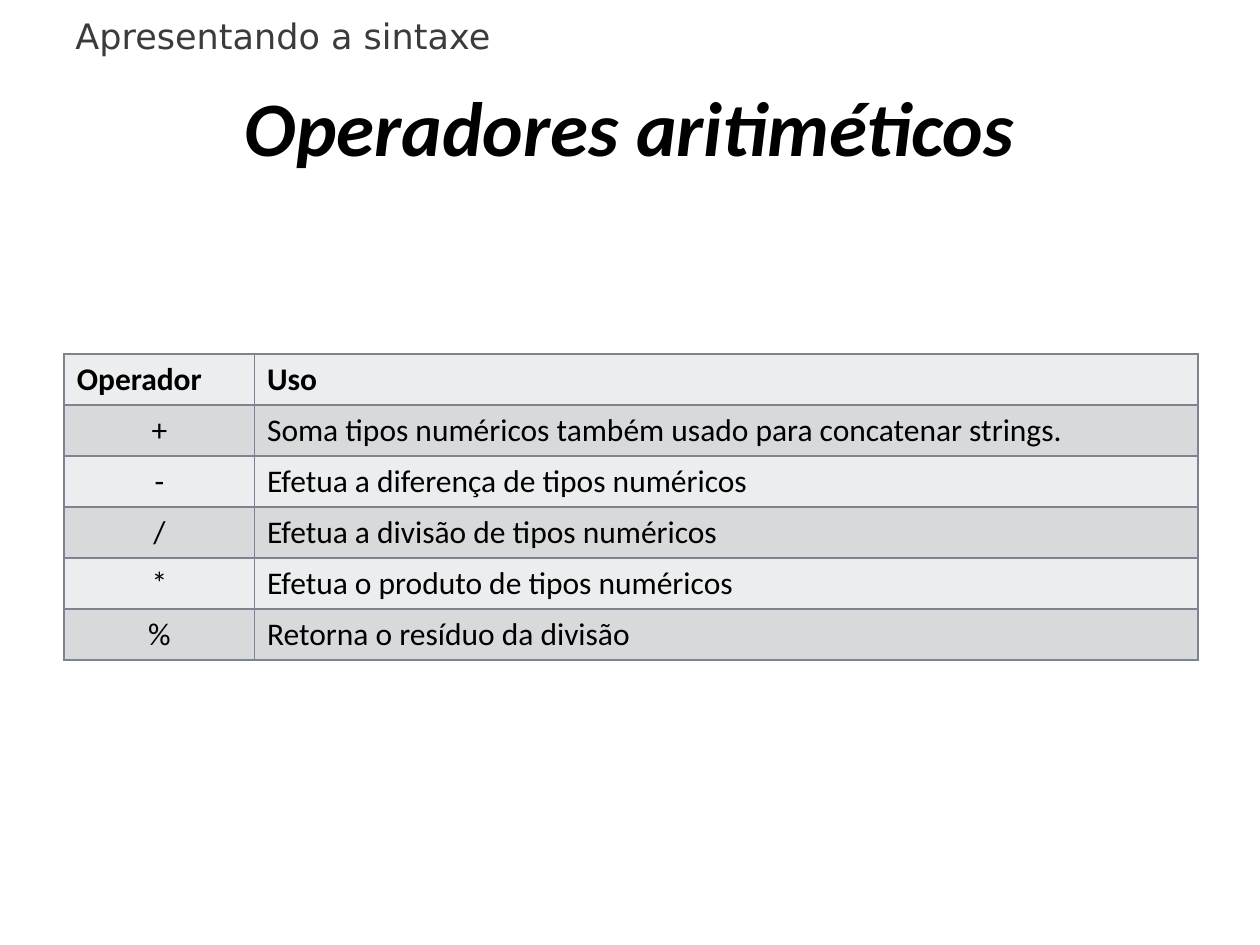
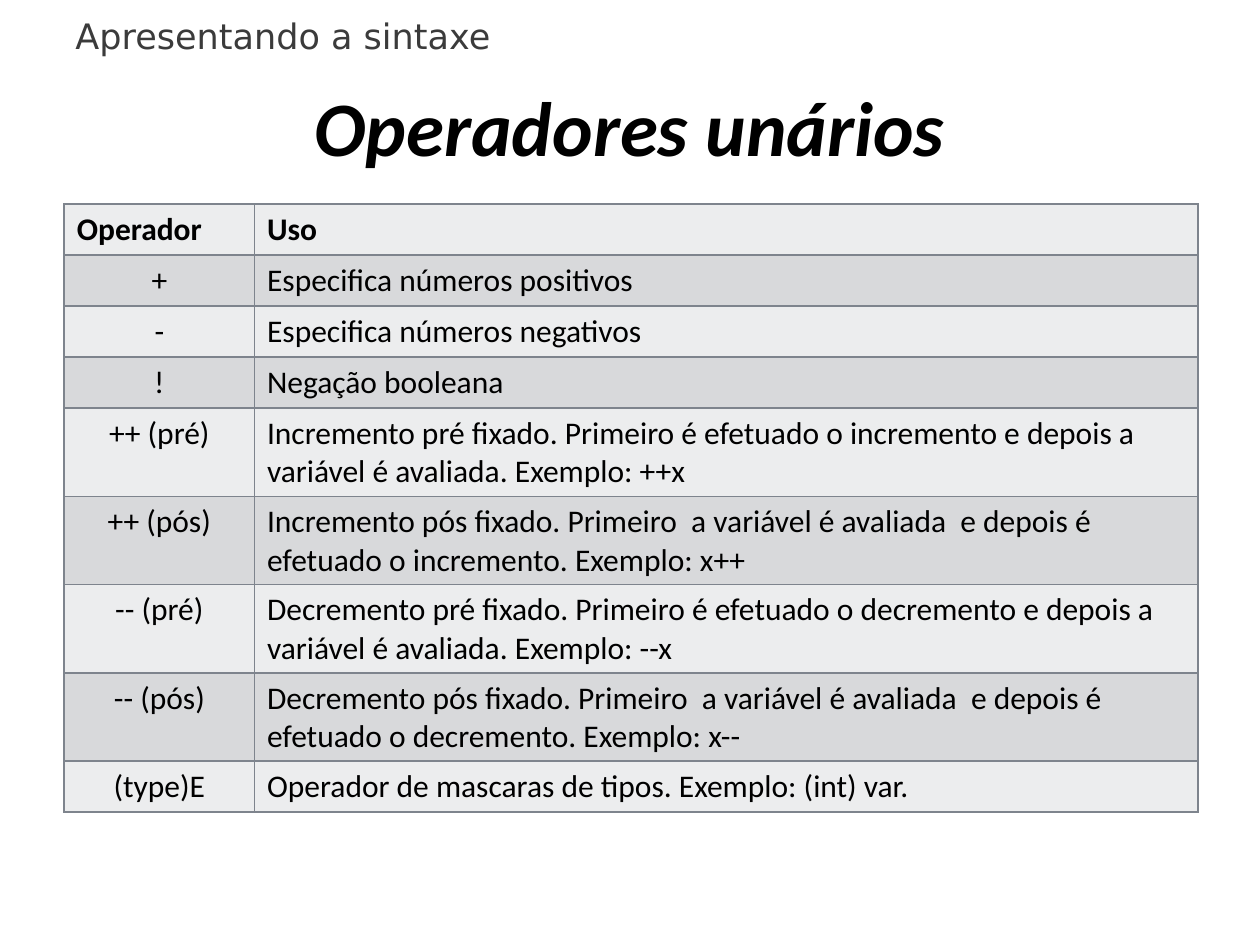
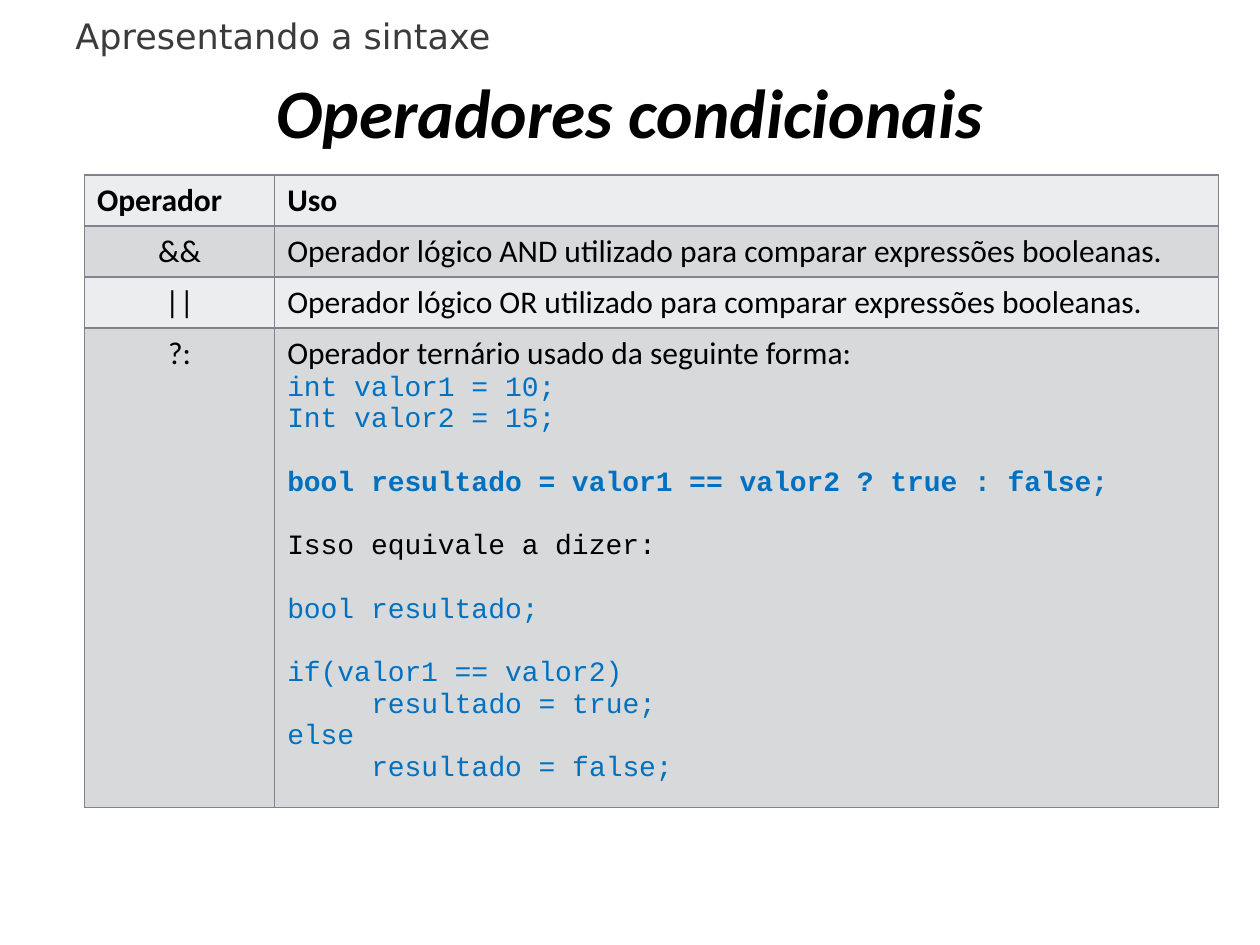
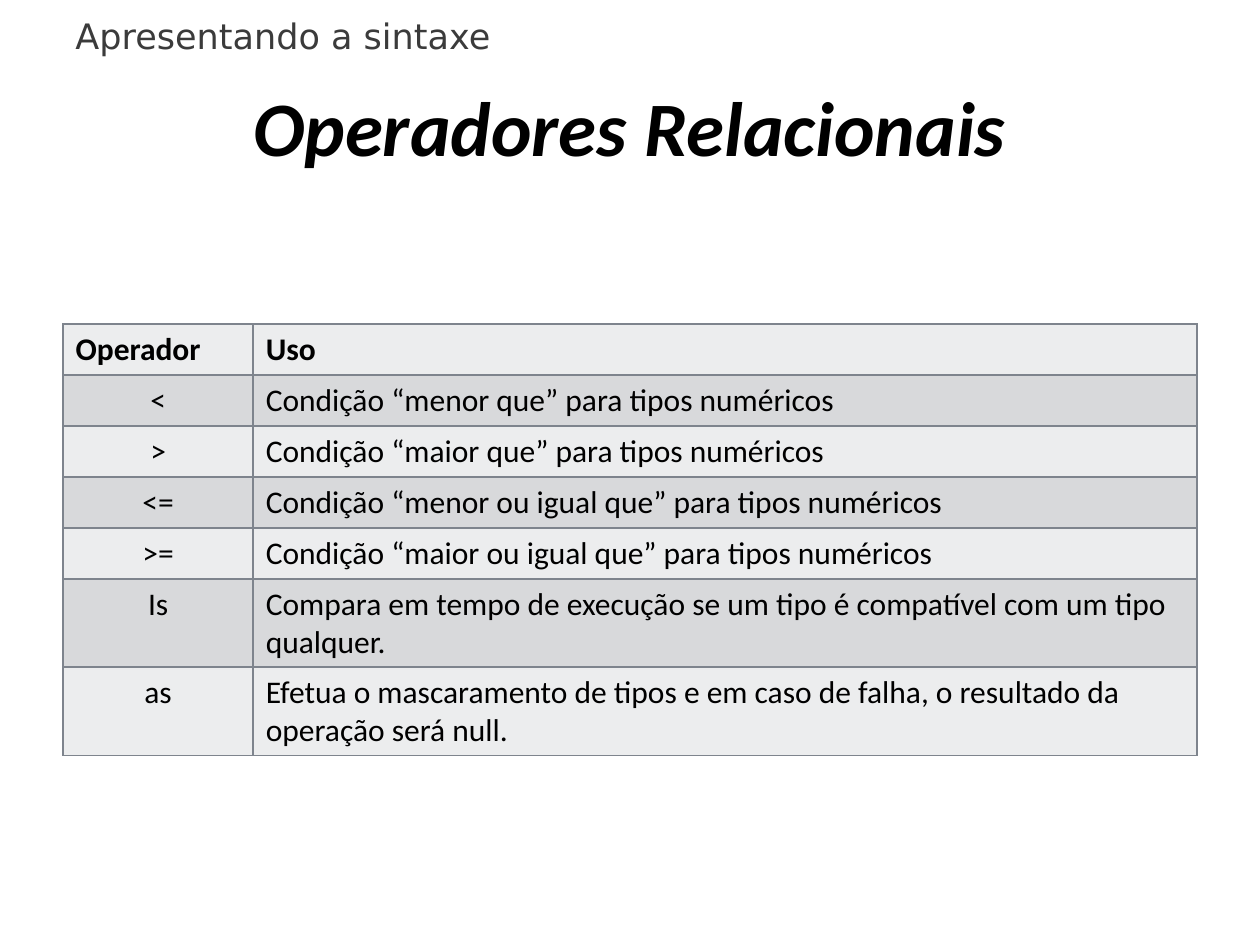
from dataclasses import dataclass

from lxml.etree import SubElement
from pptx import Presentation
from pptx.dml.color import RGBColor
from pptx.enum.text import MSO_ANCHOR, MSO_AUTO_SIZE, PP_ALIGN
from pptx.oxml.ns import qn
from pptx.util import Emu, Inches, Pt

# Shared look
COLORS = {
    "header": "3B3B3B",
    "text": "000000",
    "code": "0070C0",
    "border": "7E848D",
    "light_row": "ECEDEE",
    "dark_row": "D8D9DB",
}
BODY_FONT, CODE_FONT, HEADER_FONT = "Calibri", "Courier New", "DejaVu Sans"
HEADER = "Apresentando a sintaxe"
TABLE_HEADINGS = ("Operador", "Uso")

# Grid of 100 columns by 75 rows
SLIDE_WIDTH, SLIDE_HEIGHT = Inches(10), Inches(7.5)
COLUMN, ROW = SLIDE_WIDTH / 100, SLIDE_HEIGHT / 75
TABLE_COLUMNS = (15.1, 74.9)
TABLE_ROW = 4.05
CODE_LINE = Pt(18.1)
CODE_INDENT = Pt(48)


@dataclass(frozen=True)
class Box:
    left: float
    top: float
    width: float
    height: float

    def lengths(self) -> tuple:
        return (Emu(round(self.left * COLUMN)), Emu(round(self.top * ROW)),
                Emu(round(self.width * COLUMN)), Emu(round(self.height * ROW)))


@dataclass(frozen=True)
class Style:
    font: str = BODY_FONT
    size: float = 18
    color: str = "text"
    bold: bool = False
    italic: bool = False


@dataclass(frozen=True)
class Line:
    text: str
    style: Style = Style()
    gap_before: bool = False
    indented: bool = False


@dataclass(frozen=True)
class OperatorSlide:
    title: str
    table_left: float
    table_top: float
    operators: tuple
    title_box: Box = Box(0, 4.4, 100, 11.1)
    title_size: float = 44


HEADER_BOX = Box(5, 0, 87.5, 5)
HEADING = Style(bold=True)
CODE = Style(CODE_FONT, 16, "code")
BOLD_CODE = Style(CODE_FONT, 16, "code", bold=True)
CODE_NOTE = Style(CODE_FONT, 16)

# Content: each operator with its use
TERNARY_USE = (
    Line("Operador ternário usado da seguinte forma:"),
    Line("int valor1 = 10;", CODE),
    Line("Int valor2 = 15;", CODE),
    Line("bool resultado = valor1 == valor2 ? true : false;", BOLD_CODE, gap_before=True),
    Line("Isso equivale a dizer:", CODE_NOTE, gap_before=True),
    Line("bool resultado;", CODE, gap_before=True),
    Line("if(valor1 == valor2)", CODE, gap_before=True),
    Line("resultado = true;", CODE, indented=True),
    Line("else", CODE),
    Line("resultado = false;", CODE, indented=True),
)
SLIDES = (
    OperatorSlide("Operadores aritiméticos", 5.1, 28.1, (
        ("+", "Soma tipos numéricos também usado para concatenar strings."),
        ("-", "Efetua a diferença de tipos numéricos"),
        ("/", "Efetua a divisão de tipos numéricos"),
        ("*", "Efetua o produto de tipos numéricos"),
        ("%", "Retorna o resíduo da divisão"),
    )),
    OperatorSlide("Operadores unários", 5.1, 16.2, (
        ("+", "Especifica números positivos"),
        ("-", "Especifica números negativos"),
        ("!", "Negação booleana"),
        ("++ (pré)", "Incremento pré fixado. Primeiro é efetuado o incremento e depois a "
                     "variável é avaliada. Exemplo: ++x"),
        ("++ (pós)", "Incremento pós fixado. Primeiro  a variável é avaliada  e depois é "
                     "efetuado o incremento. Exemplo: x++"),
        ("-- (pré)", "Decremento pré fixado. Primeiro é efetuado o decremento e depois a "
                     "variável é avaliada. Exemplo: --x"),
        ("-- (pós)", "Decremento pós fixado. Primeiro  a variável é avaliada  e depois é "
                     "efetuado o decremento. Exemplo: x--"),
        ("(type)E", "Operador de mascaras de tipos. Exemplo: (int) var."),
    )),
    OperatorSlide("Operadores condicionais", 6.7, 13.9, (
        ("&&", "Operador lógico AND utilizado para comparar expressões booleanas."),
        ("||", "Operador lógico OR utilizado para comparar expressões booleanas."),
        ("?:", TERNARY_USE),
    ), Box(0, 5.2, 100, 7.1), 39.6),
    OperatorSlide("Operadores Relacionais", 5, 25.7, (
        ("<", "Condição “menor que” para tipos numéricos"),
        (">", "Condição “maior que” para tipos numéricos"),
        ("<=", "Condição “menor ou igual que” para tipos numéricos"),
        (">=", "Condição “maior ou igual que” para tipos numéricos"),
        ("Is", "Compara em tempo de execução se um tipo é compatível com um tipo qualquer."),
        ("as", "Efetua o mascaramento de tipos e em caso de falha, o resultado da "
               "operação será null."),
    )),
)


def color(name: str) -> RGBColor:
    return RGBColor.from_string(COLORS[name])


def write_lines(text_frame, lines: tuple, alignment=PP_ALIGN.LEFT) -> None:
    for index, line in enumerate(lines):
        paragraph = text_frame.add_paragraph() if index else text_frame.paragraphs[0]
        paragraph.text = line.text
        paragraph.alignment = alignment
        if line.gap_before:
            paragraph.space_before = CODE_LINE
        if line.indented:
            paragraph._p.get_or_add_pPr().set("marL", str(CODE_INDENT))
        font, style = paragraph.font, line.style
        font.name, font.size = style.font, Pt(style.size)
        font.bold, font.italic = style.bold, style.italic
        font.color.rgb = color(style.color)


def add_text(slide, box: Box, line: Line, alignment=PP_ALIGN.LEFT):
    text_frame = slide.shapes.add_textbox(*box.lengths()).text_frame
    text_frame.word_wrap = True
    write_lines(text_frame, (line,), alignment)
    return text_frame


def add_borders(cell) -> None:
    properties = cell._tc.get_or_add_tcPr()
    for side in ("a:lnL", "a:lnR", "a:lnT", "a:lnB"):
        border = SubElement(properties, qn(side), w=str(Pt(1)))
        fill = SubElement(border, qn("a:solidFill"))
        SubElement(fill, qn("a:srgbClr"), val=COLORS["border"])


def fill_cell(cell, lines: tuple, fill: str, alignment) -> None:
    add_borders(cell)
    cell.fill.solid()
    cell.fill.fore_color.rgb = color(fill)
    write_lines(cell.text_frame, lines, alignment)


def add_operator_table(slide, content: OperatorSlide) -> None:
    rows = (TABLE_HEADINGS, *content.operators)
    box = Box(content.table_left, content.table_top, sum(TABLE_COLUMNS), TABLE_ROW * len(rows))
    table = slide.shapes.add_table(len(rows), len(TABLE_COLUMNS), *box.lengths()).table
    table.first_row = table.horz_banding = False
    for column, width in zip(table.columns, TABLE_COLUMNS):
        column.width = Emu(round(width * COLUMN))
    for row_index, values in enumerate(rows):
        fill = "dark_row" if row_index % 2 else "light_row"
        style = Style() if row_index else HEADING
        for column_index, value in enumerate(values):
            lines = (Line(value, style),) if isinstance(value, str) else value
            centered = row_index > 0 and column_index == 0
            fill_cell(table.cell(row_index, column_index), lines, fill,
                      PP_ALIGN.CENTER if centered else PP_ALIGN.LEFT)


def add_operator_slide(presentation, content: OperatorSlide) -> None:
    slide = presentation.slides.add_slide(presentation.slide_layouts[6])
    # Section header
    header = add_text(slide, HEADER_BOX, Line(HEADER, Style(HEADER_FONT, 20, "header")))
    header.auto_size = MSO_AUTO_SIZE.SHAPE_TO_FIT_TEXT
    header.paragraphs[0].line_spacing = 1.2
    # Title
    title_style = Style(size=content.title_size, bold=True, italic=True)
    title = add_text(slide, content.title_box, Line(content.title, title_style), PP_ALIGN.CENTER)
    title.vertical_anchor = MSO_ANCHOR.MIDDLE
    # Operators
    add_operator_table(slide, content)


def main() -> None:
    presentation = Presentation()
    presentation.slide_width, presentation.slide_height = SLIDE_WIDTH, SLIDE_HEIGHT
    for content in SLIDES:
        add_operator_slide(presentation, content)
    presentation.save("out.pptx")


if __name__ == "__main__":
    main()
